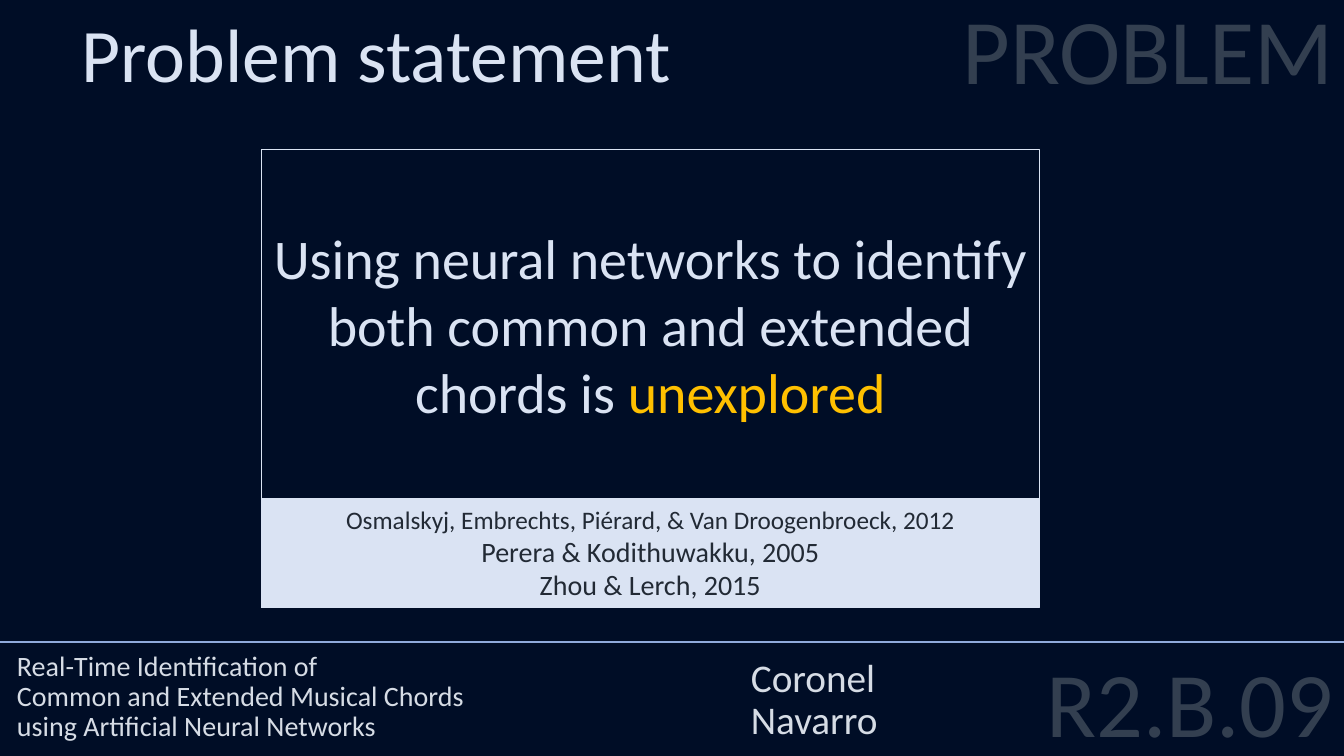
from pptx import Presentation
from pptx.dml.color import RGBColor
from pptx.enum.shapes import MSO_CONNECTOR, MSO_SHAPE
from pptx.enum.text import MSO_ANCHOR, MSO_AUTO_SIZE, PP_ALIGN
from pptx.oxml import parse_xml
from pptx.oxml.ns import nsdecls
from pptx.util import Inches, Pt

WIDTH, HEIGHT = 13.33, 7.5
PALE, GREY, SLATE = "DAE3F3", "D6DCE5", "333F50"
NAVY, INK, GOLD, BLUE = "000D26", "222A35", "FFC000", "8FAADC"


def paint(color, value):
    """Set a colour from a hex string."""
    color.rgb = RGBColor.from_string(value)


def place(shape, box):
    """Move a shape to a box given in inches."""
    shape.left, shape.top, shape.width, shape.height = map(Inches, box)


def write(shape, lines, align=PP_ALIGN.LEFT, anchor=MSO_ANCHOR.TOP, space=1.0, before=0):
    """Fill a shape with paragraphs, each a list of (text, size, colour) runs."""
    frame = shape.text_frame
    frame.word_wrap = True
    frame.auto_size = MSO_AUTO_SIZE.NONE
    frame.vertical_anchor = anchor
    for i, runs in enumerate(lines):
        para = frame.paragraphs[0] if i == 0 else frame.add_paragraph()
        para.alignment = align
        para.line_spacing = space
        para.space_before = Pt(before)
        for text, size, color in runs:
            run = para.add_run()
            run.text = text
            run.font.name = "Calibri"
            run.font.size = Pt(size)
            paint(run.font.color, color)


def label(slide, box, lines, **style):
    """Add a text box."""
    write(slide.shapes.add_textbox(*map(Inches, box)), lines, **style)


def panel(slide, box, lines, fill=None, **style):
    """Add a framed rectangle with centred text."""
    shape = slide.shapes.add_shape(MSO_SHAPE.RECTANGLE, *map(Inches, box))
    shape.shadow.inherit = False
    if fill:
        shape.fill.solid()
        paint(shape.fill.fore_color, fill)
    else:
        shape.fill.background()
    paint(shape.line.color, PALE)
    shape.line.width = Pt(0.75)
    write(shape, lines, align=PP_ALIGN.CENTER, **style)


def header(slide, box):
    """Place the title and the section word at the top."""
    x, y, w, h = box
    label(slide, (x + w - 11.11, y, 11.11, h), [[("PROBLEM", 66, SLATE)]],
          align=PP_ALIGN.RIGHT, space=0.9, before=10)
    title = slide.shapes.title
    place(title, (x + 0.71, y + 0.02, 8.35, 1.01))
    write(title, [[("Problem statement", 54, PALE)]])


def claim(slide, box):
    """Stack the statement on the strip of its sources."""
    x, y, w, h = box
    strip = 1.08
    panel(slide, (x, y, w, h - strip), [[
        ("Using neural networks to identify both common and extended chords is ", 40, PALE),
        ("unexplored", 40, GOLD)]], anchor=MSO_ANCHOR.MIDDLE)
    panel(slide, (x, y + h - strip, w, strip), [
        [("Osmalskyj, Embrechts, Piérard, & Van Droogenbroeck, 2012", 18, INK)],
        [("Perera & Kodithuwakku, 2005", 20, INK)],
        [("Zhou & Lerch, 2015", 20, INK)]], fill=PALE)


def footer(slide, box):
    """Draw the rule, the paper's name, its authors and the slide code."""
    x, y, w, h = box
    rule = slide.shapes.add_connector(
        MSO_CONNECTOR.STRAIGHT, Inches(x), Inches(y), Inches(x + w), Inches(y))
    paint(rule.line.color, BLUE)
    rule.line.width = Pt(1.5)
    rule._element.spPr.append(parse_xml(f"<a:effectLst {nsdecls('a')}/>"))
    base = {"anchor": MSO_ANCHOR.BOTTOM, "space": 0.9}
    top, tall = y + 0.1, h - 0.18
    label(slide, (x + 0.07, top, 7.28, tall), [[(text, 20, GREY)] for text in (
        "Real-Time Identification of",
        "Common and Extended Musical Chords",
        "using Artificial Neural Networks")], **base)
    label(slide, (x + 7.35, top, 5.1, tall),
          [[(name, 28, GREY)] for name in ("Coronel", "Navarro")], **base)
    code = slide.placeholders[1]
    place(code, (x + w - 4.87, y + 0.19, 4.87, 1.04))
    write(code, [[("R2.B.09", 66, SLATE)]],
          align=PP_ALIGN.RIGHT, space=0.8, before=10)


def main():
    """Build and save the slide."""
    deck = Presentation()
    deck.slide_width, deck.slide_height = Inches(WIDTH), Inches(HEIGHT)
    slide = deck.slides.add_slide(deck.slide_layouts[0])
    slide.background.fill.solid()
    paint(slide.background.fill.fore_color, NAVY)
    header(slide, (0, 0, WIDTH, 1.2))
    claim(slide, (2.59, 1.48, 7.72, 4.55))
    footer(slide, (0, 6.37, WIDTH, HEIGHT - 6.37))
    deck.save("out.pptx")


if __name__ == "__main__":
    main()
